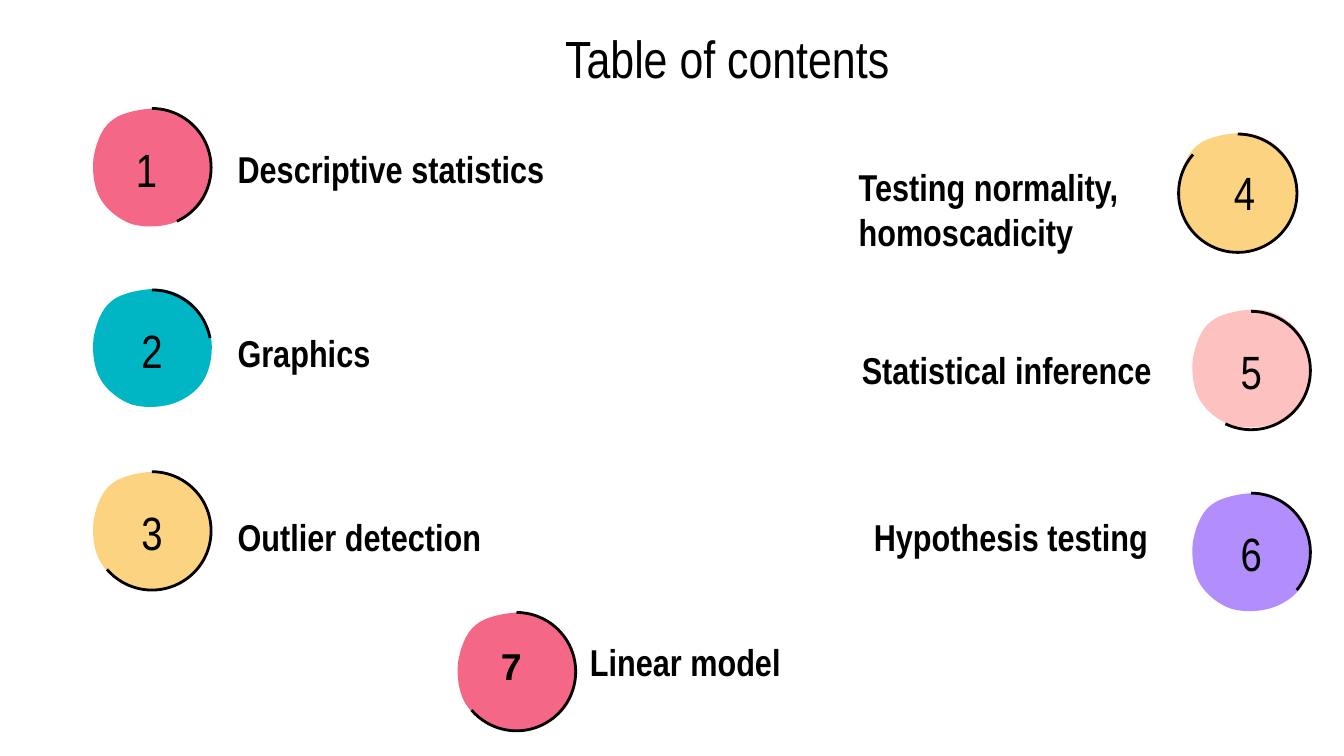
"""Build the table of contents slide with seven numbered topics."""
from lxml import etree
from pptx import Presentation
from pptx import util as u
from pptx.dml.color import RGBColor
from pptx.enum import shapes, text
from pptx.oxml import ns

COLORS = {"ink": "000000", "pink": "F46787", "teal": "00B6C5", "yellow": "FCD481",
          "blush": "FDC2C0", "violet": "B28EFC"}
DIAMETER = 63.4
BLOB_START = (33.8, 0)
BLOB_CURVES = [
    ((41, 0), (47.5, 2.9), (52.6, 7.2)),
    ((57.6, 11.5), (61.9, 18.7), (63.2, 25.2)),
    ((64.6, 31.7), (63.4, 41), (60.5, 46.8)),
    ((57.6, 53.3), (51.1, 58.3), (44.6, 60.8)),
    ((38.2, 63.4), (28.1, 64.1), (20.9, 61.9)),
    ((14.4, 59.8), (7.2, 54), (4, 48.2)),
    ((0.7, 42.5), (-0.4, 33.8), (0.4, 26.6)),
    ((1.4, 20.2), (4.3, 10.8), (10.1, 6.5)),
    ((15.1, 2.2), (26.6, 0), BLOB_START),
]
NUMBER_SIZE = (70.6, 20.9)
LABEL_HEIGHT = 26.6
TOPICS = [
    dict(number="1", label="Descriptive statistics", fill="pink", blob=(49.7, 58.1), arc_end=64.97,
         number_at=(43.2, 79.9), label_at=(120.2, 77)),
    dict(number="2", label="Graphics", fill="teal", blob=(49.7, 154.8), arc_end=349.19, arc_drop=0.5,
         number_at=(46.1, 177.1), label_at=(120.2, 175.7), label_width=136.8),
    dict(number="3", label="Outlier detection", fill="yellow", blob=(49.7, 252.7), arc_end=139.44,
         number_at=(46.1, 274.3), label_at=(120.2, 274.3)),
    dict(number="4", label="Testing normality, homoscadicity", fill="yellow", blob=(631.4, 71.3),
         arc_end=220.93, arc_drop=0.5, number_at=(631.4, 92.2), label_at=(452.9, 98.6),
         label_width=172.8),
    dict(number="5", label="Statistical inference", fill="blush", blob=(638.6, 165.8), arc_end=115.79,
         arc_drop=1, number_at=(635, 188.2), label_at=(454.6, 184.6)),
    dict(number="6", label="Hypothesis testing", fill="violet", blob=(638.6, 264.2), arc_end=39.66,
         number_at=(635, 285.8), label_at=(461, 273.9)),
    dict(number="7", label="Linear model", fill="pink", blob=(245, 328.1), arc_end=139.44,
         number_at=(261.2, 341.3), number_size=(25.9, 31.7), label_at=(308.9, 341.3),
         number_format=dict(size=20, font="Arial", bold=True, anchor=text.MSO_ANCHOR.TOP,
                            inset=3.6, wrap=False)),
]
NUMBER_FORMAT = dict(size=25, align=text.PP_ALIGN.CENTER)


def color(name):
    return RGBColor.from_string(COLORS[name])


def add_path_step(path, tag, points=()):
    step = etree.SubElement(path, ns.qn(tag))
    for x, y in points:
        etree.SubElement(step, ns.qn("a:pt"), x=str(u.Pt(x)), y=str(u.Pt(y)))


def add_blob(slide, left, top, fill):
    side = u.Pt(DIAMETER)
    builder = slide.shapes.build_freeform(0, 0)
    builder.add_line_segments([(side, 0), (side, side), (0, side)])
    shape = builder.convert_to_shape(u.Pt(left), u.Pt(top))
    path = shape.element.find(".//" + ns.qn("a:path"))
    for step in list(path):
        path.remove(step)
    add_path_step(path, "a:moveTo", [BLOB_START])
    for curve in BLOB_CURVES:
        add_path_step(path, "a:cubicBezTo", curve)
    add_path_step(path, "a:close")
    shape.shadow.inherit = False
    shape.fill.solid()
    shape.fill.fore_color.rgb = color(fill)
    shape.line.fill.background()


def add_arc(slide, left, top, end):
    shape = slide.shapes.add_shape(shapes.MSO_SHAPE.ARC, u.Pt(left), u.Pt(top),
                                   u.Pt(DIAMETER), u.Pt(DIAMETER))
    shape.adjustments[0] = 270 * 0.6
    shape.adjustments[1] = end * 0.6
    shape.shadow.inherit = False
    shape.fill.background()
    shape.line.color.rgb = color("ink")
    shape.line.width = u.Pt(1.5)


def add_text(slide, content, left, top, width, height, *, size, font="Arial Narrow", bold=False,
             align=text.PP_ALIGN.LEFT, anchor=text.MSO_ANCHOR.MIDDLE, inset=7.2, wrap=True):
    box = slide.shapes.add_textbox(u.Pt(left), u.Pt(top), u.Pt(width), u.Pt(height))
    frame = box.text_frame
    frame.word_wrap = wrap
    frame.vertical_anchor = anchor
    frame.margin_left = frame.margin_right = u.Pt(7.2)
    frame.margin_top = frame.margin_bottom = u.Pt(inset)
    paragraph = frame.paragraphs[0]
    paragraph.alignment = align
    run = paragraph.add_run()
    run.text = content
    run.font.name = font
    run.font.size = u.Pt(size)
    run.font.bold = bold
    run.font.color.rgb = color("ink")


def add_topic(slide, *, number, label, fill, blob, arc_end, number_at, label_at, arc_drop=0,
              label_width=188.6, number_size=NUMBER_SIZE, number_format=NUMBER_FORMAT):
    left, top = blob
    add_blob(slide, left, top, fill)
    add_arc(slide, left, top + arc_drop, arc_end)
    add_text(slide, number, *number_at, *number_size, **number_format)
    add_text(slide, label, *label_at, label_width, LABEL_HEIGHT, size=20, bold=True)


def main():
    presentation = Presentation()
    presentation.slide_width, presentation.slide_height = u.Pt(720), u.Pt(405)
    slide = presentation.slides.add_slide(presentation.slide_layouts[6])
    add_text(slide, "Table of contents", 65.5, 6.9, 648, 45.4, size=28,
             align=text.PP_ALIGN.CENTER, anchor=text.MSO_ANCHOR.TOP)
    for topic in TOPICS:
        add_topic(slide, **topic)
    presentation.save("out.pptx")


if __name__ == "__main__":
    main()
